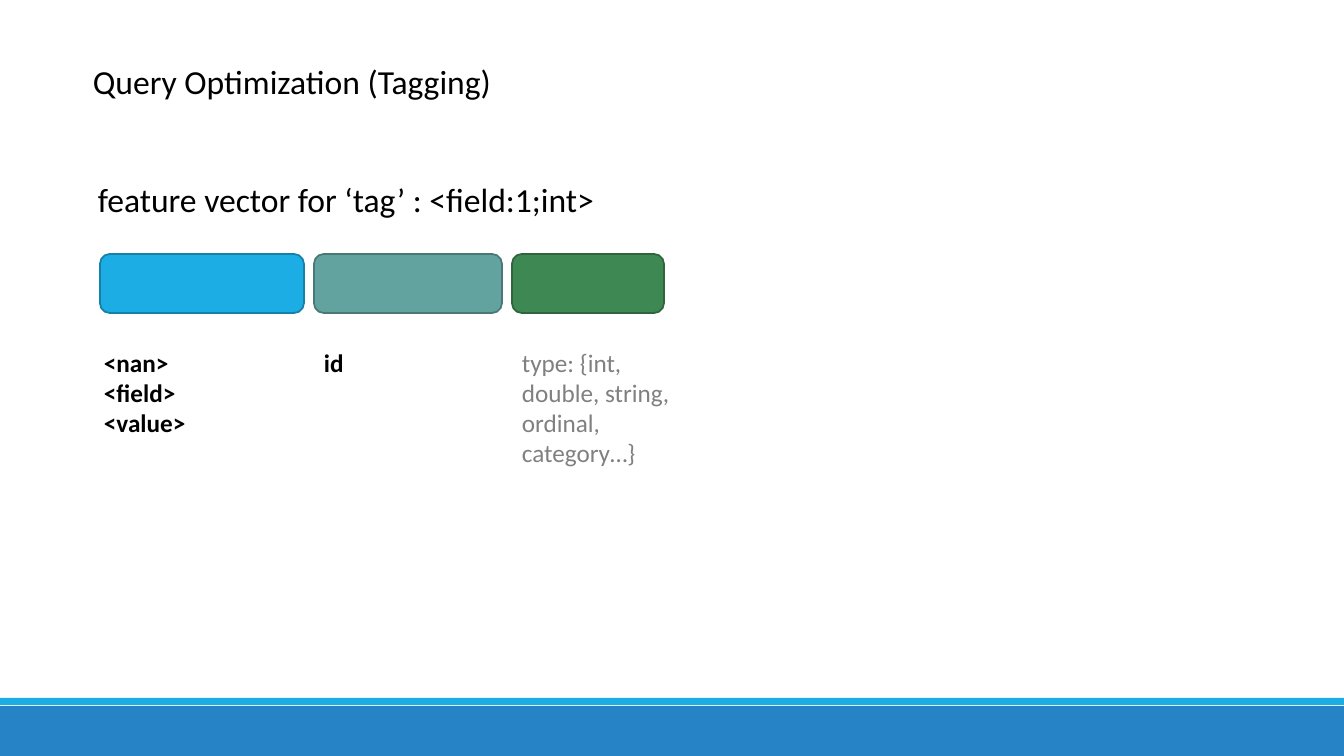
from pptx import Presentation
from pptx.dml.color import RGBColor
from pptx.enum.shapes import MSO_SHAPE as SHAPE
from pptx.util import Pt

PX = 12192000 / 1344
COLORS = {
    "band": "2683C6", "blue": "1CADE4", "blue_line": "1580A9",
    "teal": "62A39F", "teal_line": "497976",
    "green": "3E8853", "green_line": "2E653D",
    "black": "000000", "gray": "808080",
}


def add_box(kind, x, y, w, h, fill, line=None):
    sp = slide.shapes.add_shape(kind, *[round(v * PX) for v in (x, y, w, h)])
    sp.shadow.inherit = False
    sp.fill.solid()
    sp.fill.fore_color.rgb = RGBColor.from_string(COLORS[fill])
    if line:
        sp.line.color.rgb = RGBColor.from_string(COLORS[line])
        sp.line.width = Pt(1.25)
    else:
        sp.line.fill.background()


def add_text(text, x, y, w, h, size, color="black", bold=False):
    sp = slide.shapes.add_textbox(*[round(v * PX) for v in (x, y, w, h)])
    tf = sp.text_frame
    tf.word_wrap = True
    tf.text = text
    for p in tf.paragraphs:
        for r in p.runs:
            r.font.name = "Calibri"
            r.font.size = Pt(size)
            r.font.bold = bold
            r.font.color.rgb = RGBColor.from_string(COLORS[color])


prs = Presentation()
prs.slide_width = round(1344 * PX)
prs.slide_height = round(756 * PX)
slide = prs.slides.add_slide(prs.slide_layouts[6])

add_box(SHAPE.RECTANGLE, 0, 706, 1344, 50, "band")
add_box(SHAPE.RECTANGLE, 0, 698, 1344, 7, "blue")

x, gap = 100, 10
for color, width in [("blue", 204), ("teal", 188), ("green", 152)]:
    add_box(SHAPE.ROUNDED_RECTANGLE, x, 254, width, 59, color, color + "_line")
    x += width + gap

add_text("<nan>\n<field>\n<value>", 94, 342, 108, 102, 18, bold=True)
add_text("id", 314, 342, 156, 40, 18, bold=True)
add_text("type: {int, double, string, ordinal, category…}", 512, 342, 180, 132, 18, "gray")
add_text("feature vector for ‘tag’ : <field:1;int>", 88, 174, 688, 50, 24)
add_text("Query Optimization (Tagging)", 83, 56, 466, 50, 24)

prs.save("out.pptx")
